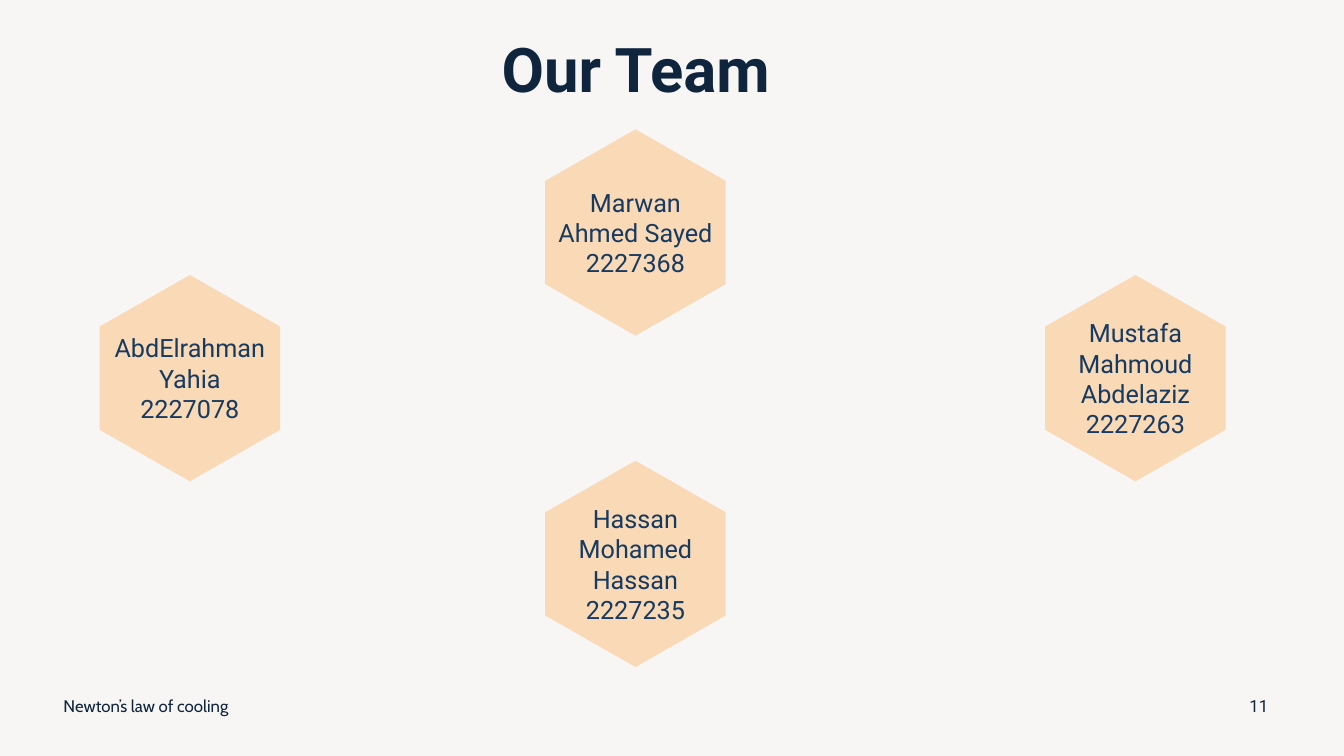
from lxml.etree import SubElement
from pptx import Presentation
from pptx.dml.color import RGBColor
from pptx.enum.text import MSO_ANCHOR as Anchor, PP_ALIGN as Align
from pptx.oxml.ns import qn
from pptx.util import Cm, Pt

PAPER = RGBColor(0xF8, 0xF6, 0xF5)
NAVY = RGBColor(0x0F, 0x25, 0x3E)
BLUE = RGBColor(0x17, 0x3A, 0x61)
PEACH = RGBColor(0xFA, 0xBE, 0x79)

TITLE_FONT = {"name": "Roboto", "size": Pt(44), "bold": True}
FOOTER_FONT = {"name": "Cabin", "size": Pt(12), "bold": False}
NUMBER_FONT = {"name": "Roboto", "size": Pt(12), "bold": False}
MEMBER_FONT = {"name": "Roboto", "size": Pt(18), "bold": False}

HEX_WIDTH, HEX_HEIGHT = 4.55, 5.2

# Left and top in cm, then the lines of text
MEMBERS = [
    (2.51, 6.93, ["AbdElrahman", "Yahia", "2227078"]),
    (26.34, 6.93, ["Mustafa Mahmoud Abdelaziz", "2227263"]),
    (13.74, 11.61, ["Hassan", "Mohamed", "Hassan", "2227235"]),
    (13.74, 3.26, ["Marwan Ahmed Sayed", "2227368"]),
]


def write_lines(frame, lines, font, color, align=Align.CENTER, spacing=1.0):
    frame.word_wrap = True
    frame.vertical_anchor = Anchor.MIDDLE
    for index, line in enumerate(lines):
        para = frame.add_paragraph() if index else frame.paragraphs[0]
        para.alignment = align
        para.line_spacing = spacing
        span = para.add_run()
        span.text = line
        for key, value in font.items():
            setattr(span.font, key, value)
        span.font.color.rgb = color


def set_title(page, text):
    title = page.shapes.title
    title.left, title.top, title.width, title.height = (
        Cm(1.42), Cm(0), Cm(29.21), Cm(3.68))
    write_lines(title.text_frame, [text], TITLE_FONT, NAVY, spacing=0.9)


def add_label(page, left, width, text, font, align):
    box = page.shapes.add_textbox(Cm(left), Cm(17.27), Cm(width), Cm(1.02))
    write_lines(box.text_frame, [text], font, NAVY, align)


def add_hexagon(page, left, top, lines):
    middle, right = left + HEX_WIDTH / 2, left + HEX_WIDTH
    upper, lower = top + HEX_HEIGHT / 4, top + HEX_HEIGHT * 3 / 4
    corners = [(right, upper), (right, lower), (middle, top + HEX_HEIGHT),
               (left, lower), (left, upper)]
    builder = page.shapes.build_freeform(Cm(middle), Cm(top))
    builder.add_line_segments([(Cm(x), Cm(y)) for x, y in corners], close=True)
    hexagon = builder.convert_to_shape()
    hexagon.shadow.inherit = False
    hexagon.line.fill.background()
    hexagon.fill.solid()
    hexagon.fill.fore_color.rgb = PEACH

    # Half transparent fill
    tint = hexagon.fill._xPr.find(qn("a:solidFill"))[0]
    SubElement(tint, qn("a:alpha"), val="50000")
    write_lines(hexagon.text_frame, lines, MEMBER_FONT, BLUE)


def main():
    deck = Presentation()
    deck.slide_width, deck.slide_height = Cm(33.87), Cm(19.05)
    page = deck.slides.add_slide(deck.slide_layouts[5])
    page.background.fill.solid()
    page.background.fill.fore_color.rgb = PAPER

    # Title and footer
    set_title(page, "Our Team")
    add_label(page, 1.35, 11.43, "Newton’s law of cooling", FOOTER_FONT, Align.LEFT)
    add_label(page, 31.09, 1.27, "11", NUMBER_FONT, Align.CENTER)

    # Team members
    for left, top, lines in MEMBERS:
        add_hexagon(page, left, top, lines)

    deck.save("out.pptx")


if __name__ == "__main__":
    main()
